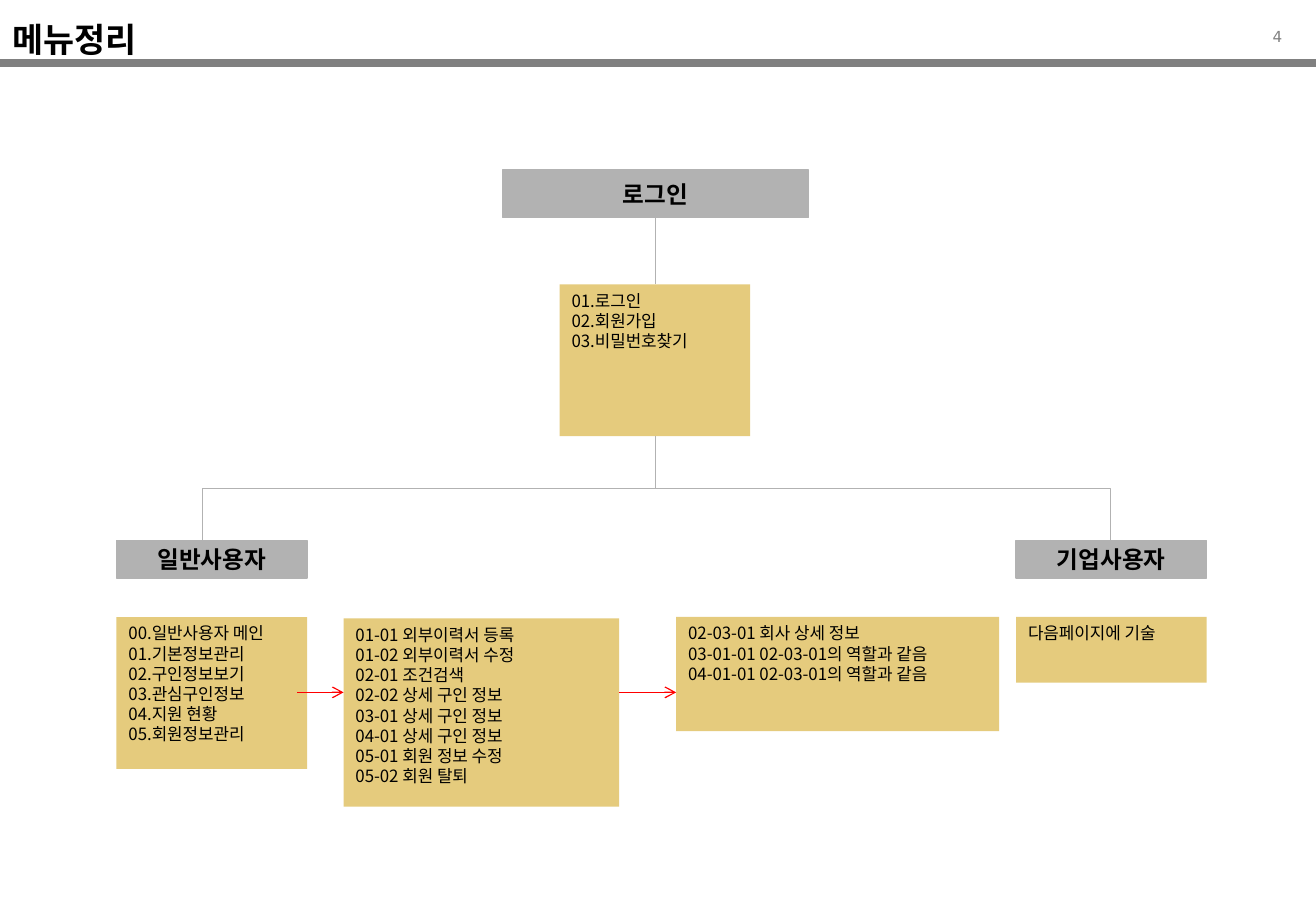
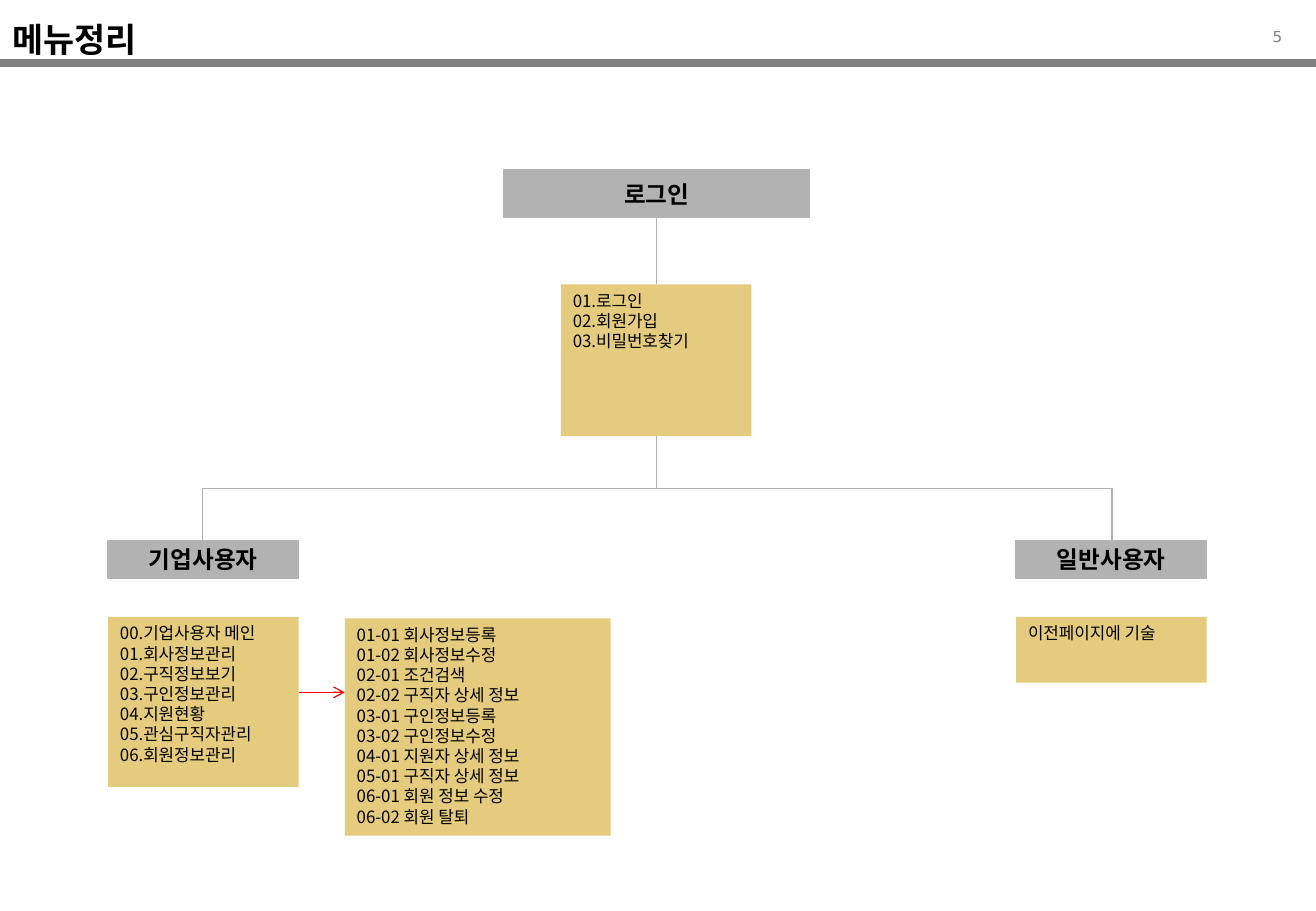
"""Build two menu-structure slides for a job-matching service."""
from dataclasses import dataclass

import lxml.etree
import pptx
import pptx.dml.color
import pptx.enum.shapes
import pptx.enum.text
import pptx.oxml.ns
import pptx.shapes.autoshape
import pptx.shapes.connector
import pptx.slide
import pptx.text.text
import pptx.util

RGBColor = pptx.dml.color.RGBColor
Pt = pptx.util.Pt
qn = pptx.oxml.ns.qn
Align = pptx.enum.text.PP_ALIGN
Anchor = pptx.enum.text.MSO_ANCHOR
ConnectorType = pptx.enum.shapes.MSO_CONNECTOR

BLACK = RGBColor(0x00, 0x00, 0x00)
BAND_GRAY = RGBColor(0x80, 0x80, 0x80)
HEADER_GRAY = RGBColor(0xB2, 0xB2, 0xB2)
MENU_GOLD = RGBColor(0xCC, 0x99, 0x00)
ARROW_RED = RGBColor(0xFF, 0x00, 0x00)
MENU_OPACITY = 51

KOREAN = "Noto Sans CJK KR"
NUMERIC = "DejaVu Sans"

PX = 9144
SLIDE_W, SLIDE_H = 1084, 750
LOGIN_W, LOGIN_Y, LOGIN_H = 252, 140, 39
COLUMN_W = 157
LOGIN_MENU_Y, LOGIN_MENU_H = 234, 125
USER_Y, USER_H = 445, 31
MENU_Y = 508
RIGHT_X = 837
ARROW_Y = 570

TITLE = "메뉴정리"
LOGIN = "로그인"
LOGIN_MENU = ("01.로그인", "02.회원가입", "03.비밀번호찾기")


@dataclass(frozen=True)
class Box:
    """A rectangle in px."""
    x: int
    y: int
    w: int
    h: int

    def emu(self) -> tuple[int, int, int, int]:
        """Return left, top, width and height in EMU."""
        return self.x * PX, self.y * PX, self.w * PX, self.h * PX


@dataclass(frozen=True)
class Menu:
    """A gold box with one menu entry a line."""
    box: Box
    entries: tuple[str, ...]


@dataclass(frozen=True)
class Arrow:
    """A red arrow between neighbouring menus, from x to x."""
    start_x: int
    end_x: int


@dataclass(frozen=True)
class MenuPage:
    """The content of one menu slide."""
    number: int
    stem_x: int
    left_x: int
    left_user: str
    right_user: str
    branch_ends: tuple[int, int]
    menus: tuple[Menu, ...]
    arrows: tuple[Arrow, ...]


PAGES = (
    MenuPage(
        4, 540, 96, "일반사용자", "기업사용자", (167, 915),
        (
            Menu(Box(96, MENU_Y, COLUMN_W, 125), (
                "00.일반사용자 메인", "01.기본정보관리", "02.구인정보보기",
                "03.관심구인정보", "04.지원 현황", "05.회원정보관리")),
            Menu(Box(283, MENU_Y + 1, 227, 155), (
                "01-01 외부이력서 등록", "01-02 외부이력서 수정",
                "02-01 조건검색", "02-02 상세 구인 정보",
                "03-01 상세 구인 정보", "04-01 상세 구인 정보",
                "05-01 회원 정보 수정", "05-02 회원 탈퇴")),
            Menu(Box(557, MENU_Y, 266, 94), (
                "02-03-01 회사 상세 정보",
                "03-01-01 02-03-01의 역할과 같음",
                "04-01-01 02-03-01의 역할과 같음")),
            Menu(Box(RIGHT_X, MENU_Y, COLUMN_W, 54), ("다음페이지에 기술",)),
        ),
        (Arrow(245, 283), Arrow(510, 557)),
    ),
    MenuPage(
        5, 541, 89, "기업사용자", "일반사용자", (167, 916),
        (
            Menu(Box(89, MENU_Y, COLUMN_W, 140), (
                "00.기업사용자 메인", "01.회사정보관리", "02.구직정보보기",
                "03.구인정보관리", "04.지원현황", "05.관심구직자관리",
                "06.회원정보관리")),
            Menu(Box(284, MENU_Y + 1, 219, 179), (
                "01-01 회사정보등록", "01-02 회사정보수정",
                "02-01 조건검색", "02-02 구직자 상세 정보",
                "03-01 구인정보등록", "03-02 구인정보수정",
                "04-01 지원자 상세 정보", "05-01 구직자 상세 정보",
                "06-01 회원 정보 수정", "06-02 회원 탈퇴")),
            Menu(Box(RIGHT_X, MENU_Y, COLUMN_W, 54), ("이전페이지에 기술",)),
        ),
        (Arrow(246, 284),),
    ),
)


def style_text(frame: pptx.text.text.TextFrame, size: int, align: Align,
               anchor: Anchor, color: RGBColor = BLACK, bold: bool = False,
               font: str = KOREAN, spacing: float | pptx.util.Length = 1.0) -> None:
    """Format every paragraph and run of a text frame."""
    frame.vertical_anchor = anchor
    for paragraph in frame.paragraphs:
        paragraph.alignment = align
        paragraph.line_spacing = spacing
        for run in paragraph.runs:
            run.font.size = Pt(size)
            run.font.bold = bold
            run.font.color.rgb = color
            run.font.name = font
            lxml.etree.SubElement(run.font._element, qn("a:ea"), typeface=font)


def add_line(slide: pptx.slide.Slide, kind: ConnectorType,
             start: tuple[float, float], end: tuple[float, float],
             color: RGBColor, width: float) -> pptx.shapes.connector.Connector:
    """Draw a connector without shadow between two px points."""
    line = slide.shapes.add_connector(
        kind, *(round(value * PX) for value in (*start, *end)))
    line.line.color.rgb = color
    line.line.width = Pt(width)
    lxml.etree.SubElement(line._element.spPr, qn("a:effectLst"))
    return line


def add_branch(slide: pptx.slide.Slide, start: tuple[int, int],
               end: tuple[int, int]) -> None:
    """Draw an elbow that leaves downwards, using a quarter turn."""
    middle_x, middle_y = (start[0] + end[0]) / 2, (start[1] + end[1]) / 2
    half_w, half_h = (end[0] - start[0]) / 2, (end[1] - start[1]) / 2
    branch = add_line(slide, ConnectorType.ELBOW,
                      (middle_x - half_h, middle_y + half_w),
                      (middle_x + half_h, middle_y - half_w), HEADER_GRAY, 0.75)
    branch._element.spPr.find(qn("a:xfrm")).set("rot", "5400000")


def add_arrow(slide: pptx.slide.Slide, arrow: Arrow) -> None:
    """Draw a red arrow with an open head."""
    line = add_line(slide, ConnectorType.STRAIGHT, (arrow.start_x, ARROW_Y),
                    (arrow.end_x, ARROW_Y), ARROW_RED, 0.75)
    lxml.etree.SubElement(line.line._get_or_add_ln(), qn("a:tailEnd"), type="arrow")


def add_rectangle(slide: pptx.slide.Slide, box: Box,
                  fill: RGBColor) -> pptx.shapes.autoshape.Shape:
    """Draw a filled rectangle without shadow."""
    rectangle = slide.shapes.add_shape(
        pptx.enum.shapes.MSO_SHAPE.RECTANGLE, *box.emu())
    rectangle.shadow.inherit = False
    rectangle.fill.solid()
    rectangle.fill.fore_color.rgb = fill
    return rectangle


def add_header(slide: pptx.slide.Slide, box: Box, label: str) -> None:
    """Draw a gray header with a centred bold label."""
    header = add_rectangle(slide, box, HEADER_GRAY)
    header.line.color.rgb = HEADER_GRAY
    header.line.width = Pt(0.75)
    header.text_frame.text = label
    header.text_frame.word_wrap = False
    style_text(header.text_frame, 14, Align.CENTER, Anchor.MIDDLE, bold=True)


def add_menu(slide: pptx.slide.Slide, menu: Menu) -> None:
    """Draw a translucent gold menu box."""
    panel = add_rectangle(slide, menu.box, MENU_GOLD)
    panel.line.fill.background()
    color = panel._element.spPr.find(f"{qn('a:solidFill')}/{qn('a:srgbClr')}")
    lxml.etree.SubElement(color, qn("a:alpha"), val=str(MENU_OPACITY * 1000))
    panel.text_frame.text = "\n".join(menu.entries)
    panel.text_frame.word_wrap = True
    style_text(panel.text_frame, 10, Align.LEFT, Anchor.TOP, spacing=Pt(12))


def add_frame(slide: pptx.slide.Slide, number: int) -> None:
    """Add the shared page number, band and title."""
    page_number = slide.shapes.add_textbox(*Box(1014, 13, 52, 30).emu())
    page_number.text_frame.text = str(number)
    page_number.text_frame.word_wrap = True
    style_text(page_number.text_frame, 9, Align.RIGHT, Anchor.TOP,
               color=BAND_GRAY, font=NUMERIC, spacing=1.3)
    add_line(slide, ConnectorType.STRAIGHT, (0, 52), (SLIDE_W, 52), BAND_GRAY, 4.5)
    title = slide.shapes.title
    title.left, title.top, title.width, title.height = Box(0, 21, 291, 22).emu()
    title.text_frame.text = TITLE
    title.text_frame.auto_size = pptx.enum.text.MSO_AUTO_SIZE.NONE
    style_text(title.text_frame, 20, Align.LEFT, Anchor.MIDDLE, bold=True)


def add_page(presentation: pptx.presentation.Presentation, page: MenuPage) -> None:
    """Add one menu slide."""
    slide = presentation.slides.add_slide(
        presentation.slide_layouts.get_by_name("Title Only"))
    add_frame(slide, page.number)
    stem = page.stem_x
    add_header(slide, Box(stem - LOGIN_W // 2, LOGIN_Y, LOGIN_W, LOGIN_H), LOGIN)
    for x, user in ((page.left_x, page.left_user), (RIGHT_X, page.right_user)):
        add_header(slide, Box(x, USER_Y, COLUMN_W, USER_H), user)
    login_box = Box(stem - COLUMN_W // 2 - 1, LOGIN_MENU_Y, COLUMN_W, LOGIN_MENU_H)
    for menu in (Menu(login_box, LOGIN_MENU), *page.menus):
        add_menu(slide, menu)
    add_line(slide, ConnectorType.STRAIGHT, (stem, LOGIN_Y + LOGIN_H),
             (stem, LOGIN_MENU_Y), HEADER_GRAY, 0.75)
    for branch_x in page.branch_ends:
        add_branch(slide, (stem, LOGIN_MENU_Y + LOGIN_MENU_H), (branch_x, USER_Y))
    for arrow in page.arrows:
        add_arrow(slide, arrow)


def main() -> None:
    """Build and save the presentation."""
    presentation = pptx.Presentation()
    presentation.slide_width = SLIDE_W * PX
    presentation.slide_height = SLIDE_H * PX
    for page in PAGES:
        add_page(presentation, page)
    presentation.save("out.pptx")


if __name__ == "__main__":
    main()
